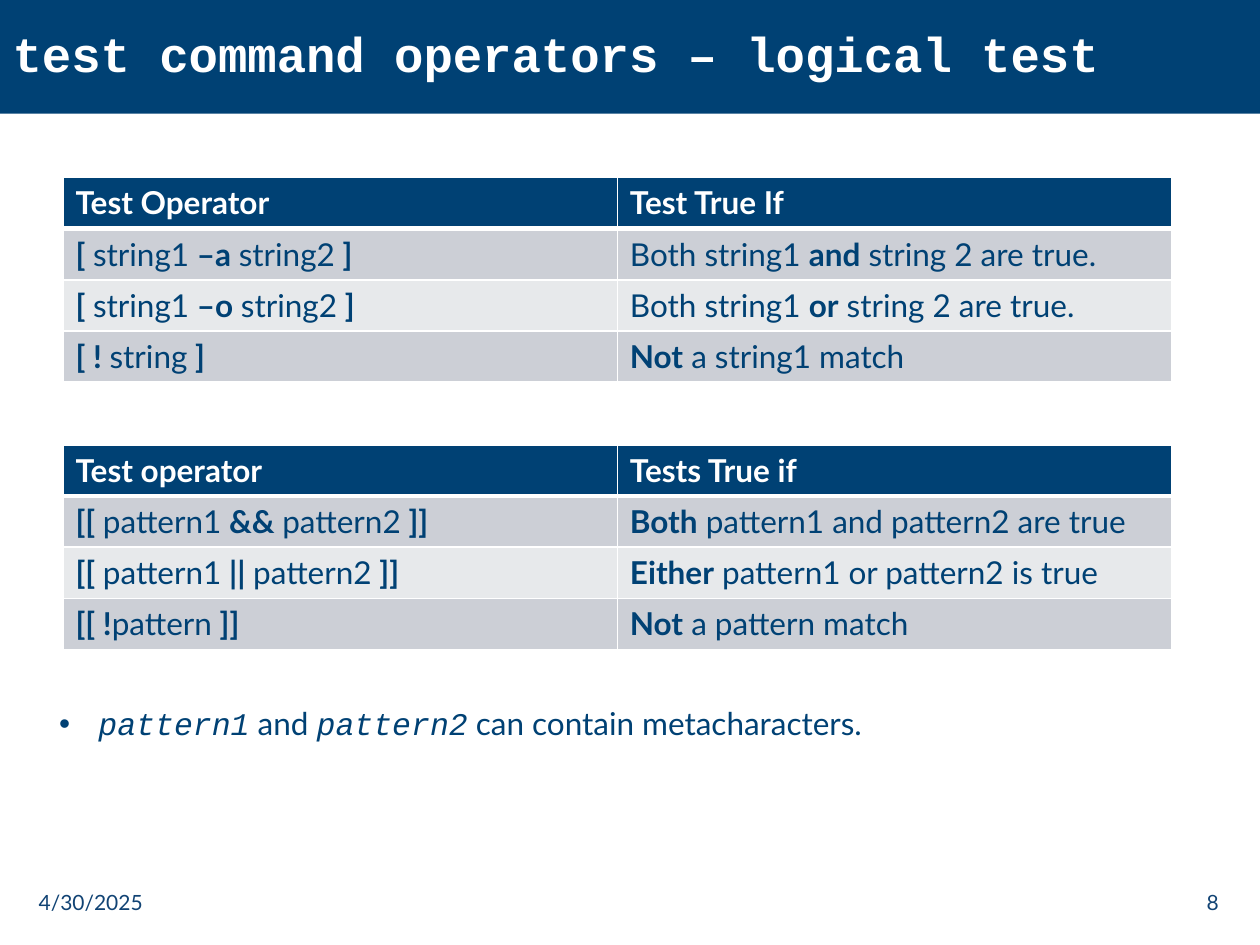
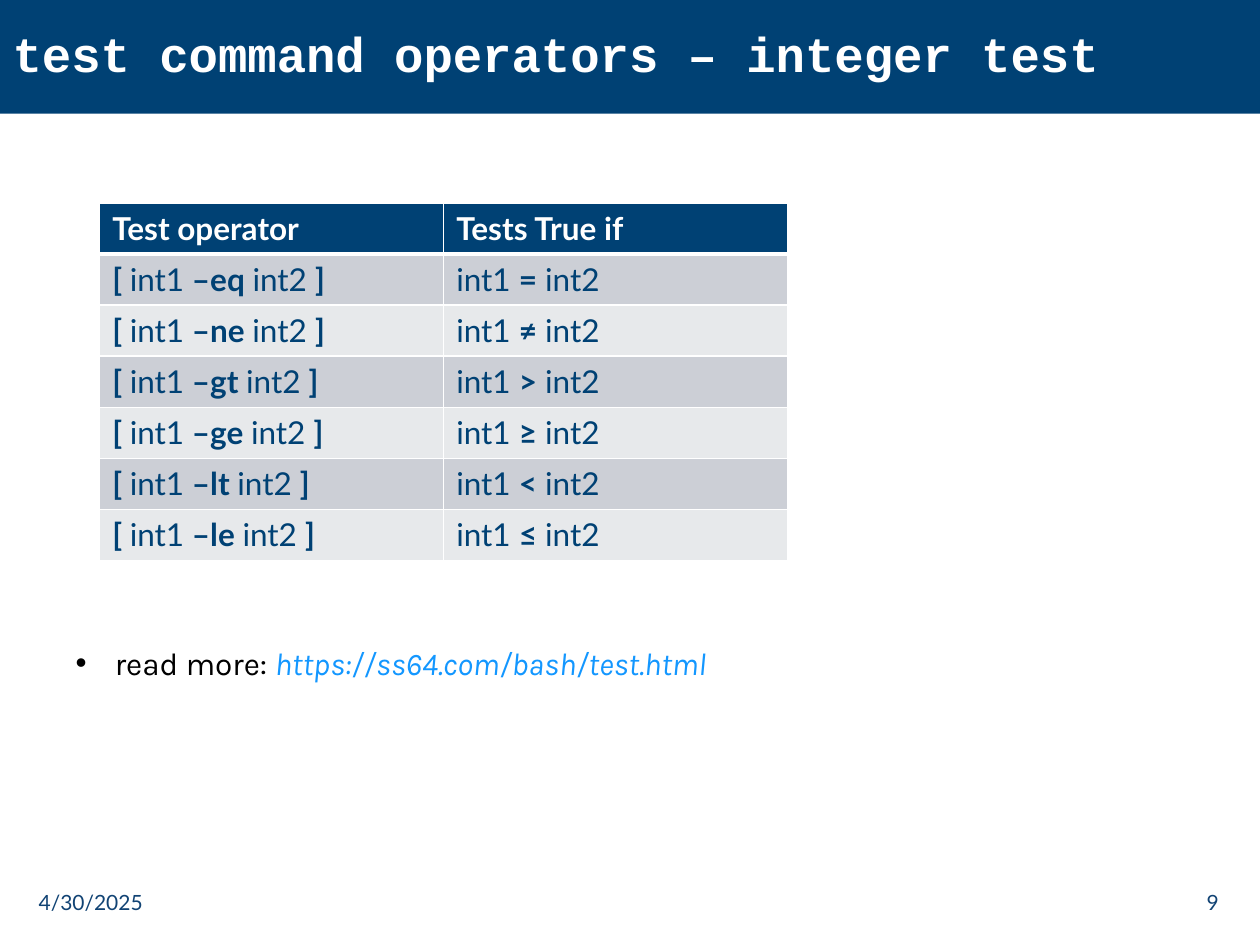
from dataclasses import dataclass

from lxml.etree import SubElement
from pptx import Presentation
from pptx.dml.color import RGBColor
from pptx.enum.text import MSO_ANCHOR as Anchor, MSO_AUTO_SIZE as AutoSize, PP_ALIGN as Align
from pptx.oxml.ns import qn
from pptx.util import Cm, Pt


@dataclass(frozen=True)
class Theme:
    navy: str = "004174"
    footer: str = "114374"
    white: str = "FFFFFF"
    black: str = "000000"
    link: str = "1397FF"
    bands: tuple = ("CCCFD6", "E7E9EB")
    sans: str = "Lato"
    mono: str = "Courier New"
    note: str = "Karla"
    title_size: int = 28
    body_size: int = 18
    footer_size: int = 12


THEME = Theme()

# Content: text between asterisks in a table cell is bold
DATE = "4/30/2025"
INTEGER_TESTS = [("eq", "="), ("ne", "≠"), ("gt", ">"),
                 ("ge", "≥"), ("lt", "<"), ("le", "≤")]

SLIDES = [
    {
        "number": 8,
        "title": "test command operators – logical test",
        "tables": [
            {"left": 1.27, "top": 3.58, "width": 22.35, "rows": [
                ("*Test Operator*", "*Test True If*"),
                ("*[ *string1* –a *string2* ]*", "Both string1 *and* string 2 are true."),
                ("*[ *string1* –o *string2* ]*", "Both string1 *or* string 2 are true."),
                ("*[ ! *string* ]*", "*Not* a string1 match"),
            ]},
            {"left": 1.27, "top": 8.97, "width": 22.35, "rows": [
                ("*Test operator*", "*Tests True if*"),
                ("*[[ *pattern1* && *pattern2* ]]*", "*Both* pattern1 and pattern2 are true"),
                ("*[[ *pattern1* || *pattern2* ]]*", "*Either* pattern1 or pattern2 is true"),
                ("*[[ !*pattern* ]]*", "*Not* a pattern match"),
            ]},
        ],
        "note_box": (0.94, 14.07, 18.14, 1.02),
        "note": [
            ("pattern1", THEME.mono, THEME.navy, True),
            (" and ", THEME.sans, THEME.navy, False),
            ("pattern2", THEME.mono, THEME.navy, True),
            (" can contain metacharacters.", THEME.sans, THEME.navy, False),
        ],
    },
    {
        "number": 9,
        "title": "test command operators – integer test",
        "tables": [
            {"left": 2.01, "top": 4.09, "width": 13.87, "rows": [
                ("*Test operator*", "*Tests True if*"),
                *((f"*[ *int1* –{flag} *int2 *]*", f"int1 *{sign}* int2")
                  for flag, sign in INTEGER_TESTS),
            ]},
        ],
        "note_box": (1.27, 11.3, 14.94, 2.57),
        "note": [
            ("read more: ", THEME.note, THEME.black, False),
            ("https://ss64.com/bash/test.html", THEME.note, THEME.link, True),
        ],
    },
]

# Shared layout, in centimetres
PAGE_WIDTH, PAGE_HEIGHT = 25.4, 19.05
BAND_HEIGHT = 2.29
ROW_HEIGHT = 1.03
BULLET_INDENT = 0.79
FOOTER_TOP, FOOTER_WIDTH, FOOTER_HEIGHT = 17.67, 5.72, 1.02
DATE_LEFT, NUMBER_LEFT = 0.53, 19.1


def color(value):
    return RGBColor.from_string(value)


def set_font(font, name, size, value, bold=False):
    font.name, font.size, font.bold = name, Pt(size), bold
    font.color.rgb = color(value)


def place(shape, left, top, width, height):
    shape.left, shape.top = Cm(left), Cm(top)
    shape.width, shape.height = Cm(width), Cm(height)


def set_frame(frame, anchor):
    frame.word_wrap = True
    frame.auto_size = AutoSize.NONE
    frame.vertical_anchor = anchor


def add_title(page, text):
    band = page.shapes.title
    place(band, 0, 0, PAGE_WIDTH, BAND_HEIGHT)
    band.fill.solid()
    band.fill.fore_color.rgb = color(THEME.navy)
    set_frame(band.text_frame, Anchor.MIDDLE)
    band.text_frame.text = text
    para = band.text_frame.paragraphs[0]
    para.alignment = Align.LEFT
    para.line_spacing = 0.9
    set_font(para.font, THEME.mono, THEME.title_size, THEME.white, True)


def add_footer(page, left, text, alignment):
    box = page.shapes.add_textbox(Cm(left), Cm(FOOTER_TOP), Cm(FOOTER_WIDTH), Cm(FOOTER_HEIGHT))
    set_frame(box.text_frame, Anchor.MIDDLE)
    para = box.text_frame.paragraphs[0]
    para.text, para.alignment = text, alignment
    set_font(para.font, THEME.sans, THEME.footer_size, THEME.footer)


def set_borders(cell, row):
    # The rule under the header row is heavier
    widths = {"a:lnL": 1, "a:lnR": 1,
              "a:lnT": 3 if row == 1 else 1,
              "a:lnB": 3 if row == 0 else 1}
    properties = cell._tc.get_or_add_tcPr()
    for tag, width in widths.items():
        line = SubElement(properties, qn(tag), w=str(Pt(width)))
        fill = SubElement(line, qn("a:solidFill"))
        SubElement(fill, qn("a:srgbClr"), val=THEME.white)


def fill_cell(cell, text, row):
    set_borders(cell, row)
    cell.fill.solid()
    cell.fill.fore_color.rgb = color(THEME.bands[(row - 1) % 2] if row else THEME.navy)
    para = cell.text_frame.paragraphs[0]
    set_font(para.font, THEME.sans, THEME.body_size, THEME.navy if row else THEME.white)
    for index, part in enumerate(text.split("*")):
        if part:
            span = para.add_run()
            span.text = part
            set_font(span.font, THEME.sans, THEME.body_size,
                     THEME.navy if row else THEME.white, index % 2 == 1)


def add_operator_table(page, left, top, width, rows):
    columns = len(rows[0])
    frame = page.shapes.add_table(len(rows), columns, Cm(left), Cm(top),
                                  Cm(width), Cm(ROW_HEIGHT * len(rows)))
    table = frame.table
    table.horz_banding = False
    for column in table.columns:
        column.width = Cm(width / columns)
    for row, texts in enumerate(rows):
        table.rows[row].height = Cm(ROW_HEIGHT)
        for column, text in enumerate(texts):
            fill_cell(table.cell(row, column), text, row)


def add_note(page, bounds, spans):
    body = page.placeholders[1]
    place(body, *bounds)
    set_frame(body.text_frame, Anchor.BOTTOM)
    para = body.text_frame.paragraphs[0]
    properties = para._p.get_or_add_pPr()
    properties.set("marL", str(Cm(BULLET_INDENT)))
    properties.set("indent", str(-Cm(BULLET_INDENT)))
    SubElement(properties, qn("a:buChar"), char="•")
    para.space_before = Pt(0)
    para.font.size = Pt(THEME.body_size)
    for text, name, value, italic in spans:
        span = para.add_run()
        span.text = text
        set_font(span.font, name, THEME.body_size, value)
        span.font.italic = italic


def main():
    deck = Presentation()
    deck.slide_width, deck.slide_height = Cm(PAGE_WIDTH), Cm(PAGE_HEIGHT)
    title_and_content = deck.slide_layouts[1]
    for content in SLIDES:
        page = deck.slides.add_slide(title_and_content)
        add_title(page, content["title"])
        for table in content["tables"]:
            add_operator_table(page, **table)
        add_note(page, content["note_box"], content["note"])
        add_footer(page, DATE_LEFT, DATE, Align.LEFT)
        add_footer(page, NUMBER_LEFT, str(content["number"]), Align.RIGHT)
    deck.save("out.pptx")


if __name__ == "__main__":
    main()
